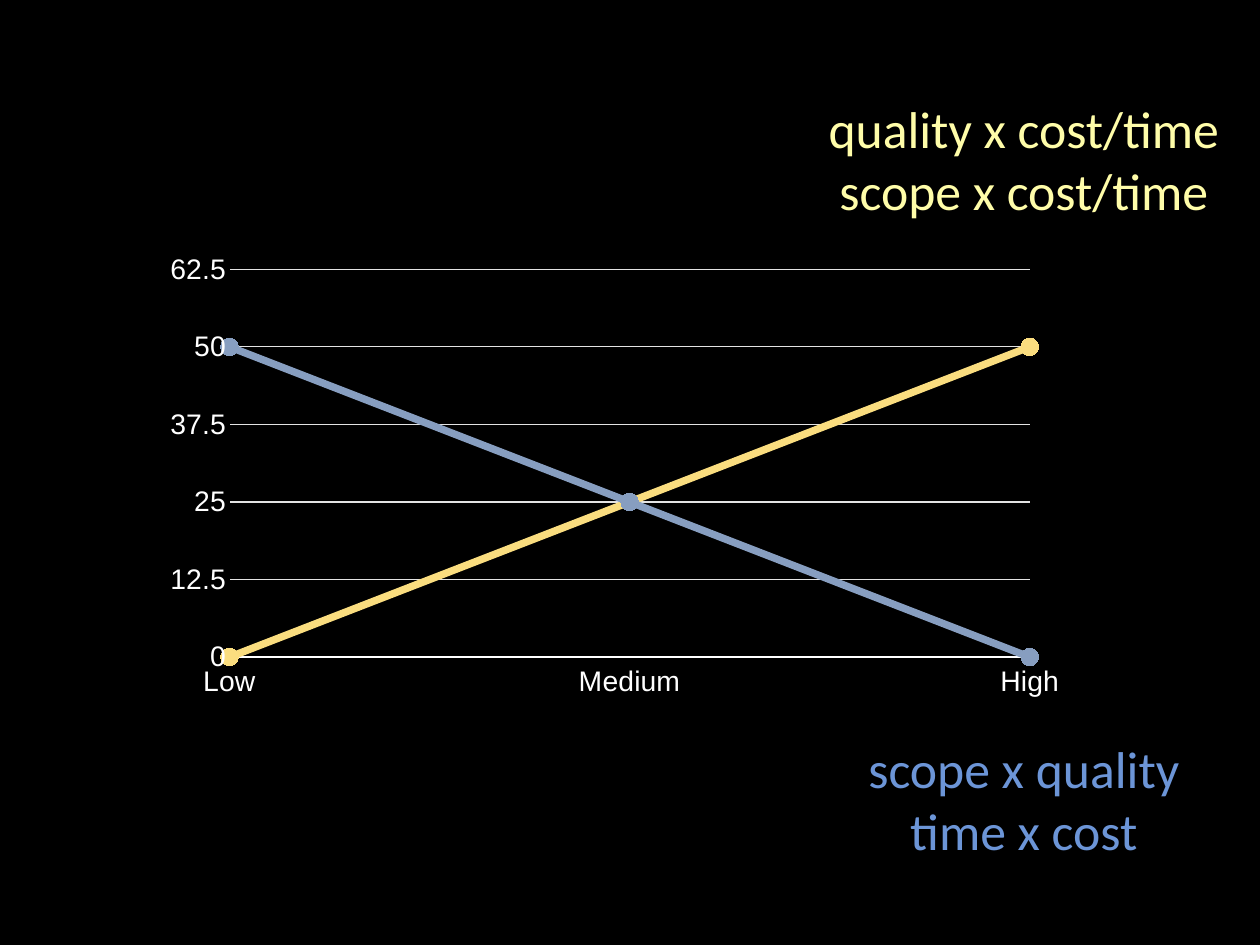
from lxml import etree
from pptx import Presentation
from pptx.chart.data import CategoryChartData
from pptx.dml.color import RGBColor
from pptx.enum.chart import XL_CHART_TYPE, XL_MARKER_STYLE, XL_TICK_LABEL_POSITION, XL_TICK_MARK
from pptx.enum.text import MSO_ANCHOR, MSO_AUTO_SIZE, PP_ALIGN
from pptx.oxml.ns import qn
from pptx.util import Inches, Pt

LINE_MARKERS = XL_CHART_TYPE.LINE_MARKERS
CIRCLE = XL_MARKER_STYLE.CIRCLE
LABELS_LOW = XL_TICK_LABEL_POSITION.LOW
NO_TICK = XL_TICK_MARK.NONE
MIDDLE = MSO_ANCHOR.MIDDLE
FIT_SHAPE = MSO_AUTO_SIZE.SHAPE_TO_FIT_TEXT
CENTER = PP_ALIGN.CENTER

COLORS = {
    "background": "000000",
    "axis": "FFFFFF",
    "grid": "E3E3E3",
    "rising": "FADD7F",
    "falling": "879EC0",
    "rising_text": "FFFDA9",
    "falling_text": "6C95D7",
}
PLOT_AREA = {"x": 0.084, "y": 0.073, "w": 0.882, "h": 0.817}


def rgb(name):
    return RGBColor.from_string(COLORS[name])


class TradeoffSlide:
    text_font = "Calibri"
    axis_font = "Arial"
    text_size = Pt(42)
    axis_size = Pt(23)
    inset = Inches(0.06)

    def __init__(self, slide):
        self.slide = slide
        slide.background.fill.solid()
        slide.background.fill.fore_color.rgb = rgb("background")

    def caption(self, lines, color, left, top, width, height):
        box = self.slide.shapes.add_textbox(
            Inches(left), Inches(top), Inches(width), Inches(height))
        frame = box.text_frame
        frame.text = "\n".join(lines)
        frame.word_wrap = False
        frame.auto_size = FIT_SHAPE
        frame.vertical_anchor = MIDDLE
        frame.margin_left = frame.margin_right = self.inset
        frame.margin_top = frame.margin_bottom = self.inset
        for paragraph in frame.paragraphs:
            paragraph.alignment = CENTER
            for run in paragraph.runs:
                self.style_font(run.font, self.text_font, self.text_size, color)

    def line_chart(self, categories, series, left, top, width, height):
        """Add a line chart; series holds (name, values, color) tuples."""
        data = CategoryChartData()
        data.categories = categories
        for name, values, _ in series:
            data.add_series(name, values)
        chart = self.slide.shapes.add_chart(
            LINE_MARKERS, Inches(left), Inches(top), Inches(width), Inches(height), data).chart
        chart.has_legend = False
        chart.has_title = False
        self.style_font(chart.font, self.text_font, Pt(10), "axis")
        chart.plots[0].vary_by_categories = False
        for line, (_, _, color) in zip(chart.plots[0].series, series):
            self.style_series(line, color)
        self.style_axes(chart)
        self.place_plot(chart)

    def style_font(self, font, name, size, color):
        font.name = name
        font.size = size
        font.color.rgb = rgb(color)

    def style_line(self, line, color, points):
        line.color.rgb = rgb(color)
        line.width = Pt(points)

    def style_series(self, series, color):
        series.smooth = False
        self.style_line(series.format.line, color, 6)
        series.marker.style = CIRCLE
        series.marker.size = 14
        series.marker.format.fill.solid()
        series.marker.format.fill.fore_color.rgb = rgb(color)
        series.marker.format.line.fill.background()

    def style_axes(self, chart):
        levels, values = chart.category_axis, chart.value_axis
        for axis in (levels, values):
            axis.major_tick_mark = axis.minor_tick_mark = NO_TICK
            self.style_font(axis.tick_labels.font, self.axis_font, self.axis_size, "axis")
        levels.tick_label_position = LABELS_LOW
        self.style_line(levels.format.line, "axis", 1)
        values.format.line.fill.background()
        values.minimum_scale, values.maximum_scale = 0, 62.5
        values.major_unit = 12.5
        values.has_major_gridlines = True
        self.style_line(values.major_gridlines.format.line, "grid", 1)

    def place_plot(self, chart):
        """Fix the inner plot area and start the lines on the value axis."""
        plot_area = chart._chartSpace.chart.plotArea
        for old in plot_area.findall(qn("c:layout")):
            plot_area.remove(old)
        layout = etree.Element(qn("c:layout"))
        plot_area.insert(0, layout)
        manual = etree.SubElement(layout, qn("c:manualLayout"))
        settings = {"layoutTarget": "inner", "xMode": "edge", "yMode": "edge", **PLOT_AREA}
        for tag, value in settings.items():
            etree.SubElement(manual, qn(f"c:{tag}")).set("val", str(value))

        value_axis = plot_area.find(qn("c:valAx"))
        for old in value_axis.findall(qn("c:crossBetween")):
            value_axis.remove(old)
        cross = etree.Element(qn("c:crossBetween"), val="midCat")
        value_axis.find(qn("c:crosses")).addnext(cross)


def main():
    deck = Presentation()
    deck.slide_width, deck.slide_height = Inches(14.22), Inches(10.67)
    tradeoffs = TradeoffSlide(deck.slides.add_slide(deck.slide_layouts[6]))
    tradeoffs.line_chart(
        ["Low", "Medium", "High"],
        [("Series 1", (0, 25, 50), "rising"), ("Series 2", (50, 25, 0), "falling")],
        1.73, 2.65, 10.24, 5.36)
    tradeoffs.caption(["quality x cost/time", "scope x cost/time"], "rising_text",
                      9.23, 1.06, 4.65, 1.47)
    tradeoffs.caption(["scope x quality", "time x cost"], "falling_text",
                      9.65, 8.29, 3.81, 1.47)
    deck.save("out.pptx")


if __name__ == "__main__":
    main()
